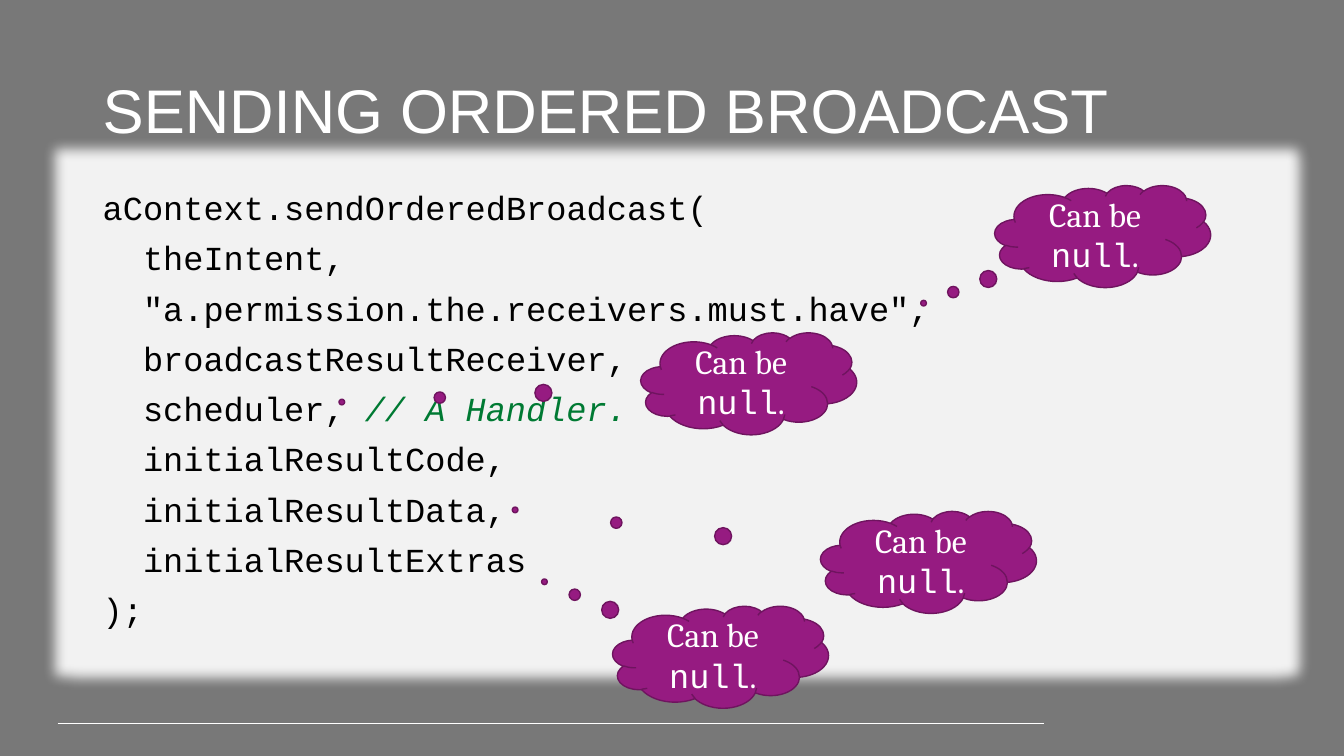
from lxml import etree
from pptx import Presentation
from pptx.dml.color import RGBColor
from pptx.enum.shapes import MSO_CONNECTOR, MSO_SHAPE
from pptx.enum.text import MSO_ANCHOR, PP_ALIGN
from pptx.oxml.ns import qn
from pptx.util import Cm, Pt

CLOUD = MSO_SHAPE.CLOUD_CALLOUT
RECTANGLE = MSO_SHAPE.RECTANGLE
STRAIGHT = MSO_CONNECTOR.STRAIGHT
MIDDLE, TOP = MSO_ANCHOR.MIDDLE, MSO_ANCHOR.TOP
LEFT, CENTER = PP_ALIGN.LEFT, PP_ALIGN.CENTER

GRAY = RGBColor(0x78, 0x78, 0x78)
PANEL = RGBColor(0xF2, 0xF2, 0xF2)
WHITE = RGBColor(0xFF, 0xFF, 0xFF)
BLACK = RGBColor(0, 0, 0)
GREEN = RGBColor(0x00, 0x7A, 0x33)
PURPLE = RGBColor(0x96, 0x1B, 0x81)
DARK_PURPLE = RGBColor(0x6F, 0x14, 0x5F)

# Content
TITLE = "SENDING ORDERED BROADCAST"
CODE = [  # statement, comment
    ("aContext.sendOrderedBroadcast(", ""),
    ("  theIntent,", ""),
    ('  "a.permission.the.receivers.must.have",', ""),
    ("  broadcastResultReceiver,", ""),
    ("  scheduler, ", "// A Handler."),
    ("  initialResultCode,", ""),
    ("  initialResultData,", ""),
    ("  initialResultExtras", ""),
    (");", ""),
]
NOTE = [("Can be ", "Cambria"), ("null", "Courier New"), (".", "Cambria")]
CLOUDS = [  # left, top in cm; tail as a share of width, height
    (16.15, 8.38, -1.885, 0.182),
    (25.07, 4.67, -0.83, 0.656),
    (20.68, 12.88, -1.915, -0.512),
    (15.44, 15.27, -0.816, -0.737),
]
CLOUD_WIDTH, CLOUD_HEIGHT = Cm(5.44), Cm(2.57)
COLUMN_LEFT, COLUMN_WIDTH = Cm(2.34), Cm(29.44)
GLOW_RADIUS = Pt(18)

prs = Presentation()
prs.slide_width, prs.slide_height = Cm(33.87), Cm(19.05)
slide = prs.slides.add_slide(prs.slide_layouts[6])
slide.background.fill.solid()
slide.background.fill.fore_color.rgb = GRAY


def add_filled(kind, left, top, width, height, color):
    shape = slide.shapes.add_shape(kind, left, top, width, height)
    shape.shadow.inherit = False
    shape.fill.solid()
    shape.fill.fore_color.rgb = color
    shape.text_frame.word_wrap = True
    return shape


def style(font, name, size, color):
    font.name, font.size = name, Pt(size)
    font.color.rgb = color


# Footer rule
rule = slide.shapes.add_connector(STRAIGHT, Cm(1.45), Cm(18.23), Cm(26.32), Cm(18.23))
rule.line.color.rgb = WHITE
rule.line.width = Pt(0.75)
etree.SubElement(rule._element.spPr, qn("a:effectLst"))

# Title
title = slide.shapes.add_textbox(COLUMN_LEFT, Cm(1.01), COLUMN_WIDTH, Cm(3.68)).text_frame
title.word_wrap = True
title.vertical_anchor = MIDDLE
heading = title.paragraphs[0]
heading.text = TITLE
heading.line_spacing = 0.9
style(heading.font, "Arial", 44, WHITE)

# Code panel with a soft glow
panel = add_filled(RECTANGLE, COLUMN_LEFT, Cm(4.7), COLUMN_WIDTH, Cm(11.4), PANEL)
panel.line.fill.background()
effects = panel._element.spPr.find(qn("a:effectLst"))
glow = etree.SubElement(effects, qn("a:glow"), rad=str(GLOW_RADIUS))
etree.SubElement(glow, qn("a:srgbClr"), val=str(PANEL))

listing = panel.text_frame
listing.vertical_anchor = TOP
for i, (statement, comment) in enumerate(CODE):
    line = listing.add_paragraph() if i else listing.paragraphs[0]
    line.alignment = LEFT
    line.line_spacing = 0.9
    if i:
        line.space_before = Pt(10)
    style(line.font, "Courier New", 24, BLACK)
    line.add_run().text = statement
    if comment:
        remark = line.add_run()
        remark.text = comment
        remark.font.italic = True
        remark.font.color.rgb = GREEN

# Thought clouds
for left, top, tail_x, tail_y in CLOUDS:
    cloud = add_filled(CLOUD, Cm(left), Cm(top), CLOUD_WIDTH, CLOUD_HEIGHT, PURPLE)
    cloud.adjustments[0], cloud.adjustments[1] = tail_x, tail_y
    cloud.line.color.rgb = DARK_PURPLE
    cloud.line.width = Pt(1)
    cloud.text_frame.vertical_anchor = MIDDLE
    thought = cloud.text_frame.paragraphs[0]
    thought.alignment = CENTER
    for words, face in NOTE:
        run = thought.add_run()
        run.text = words
        style(run.font, face, 24, WHITE)

prs.save("out.pptx")
